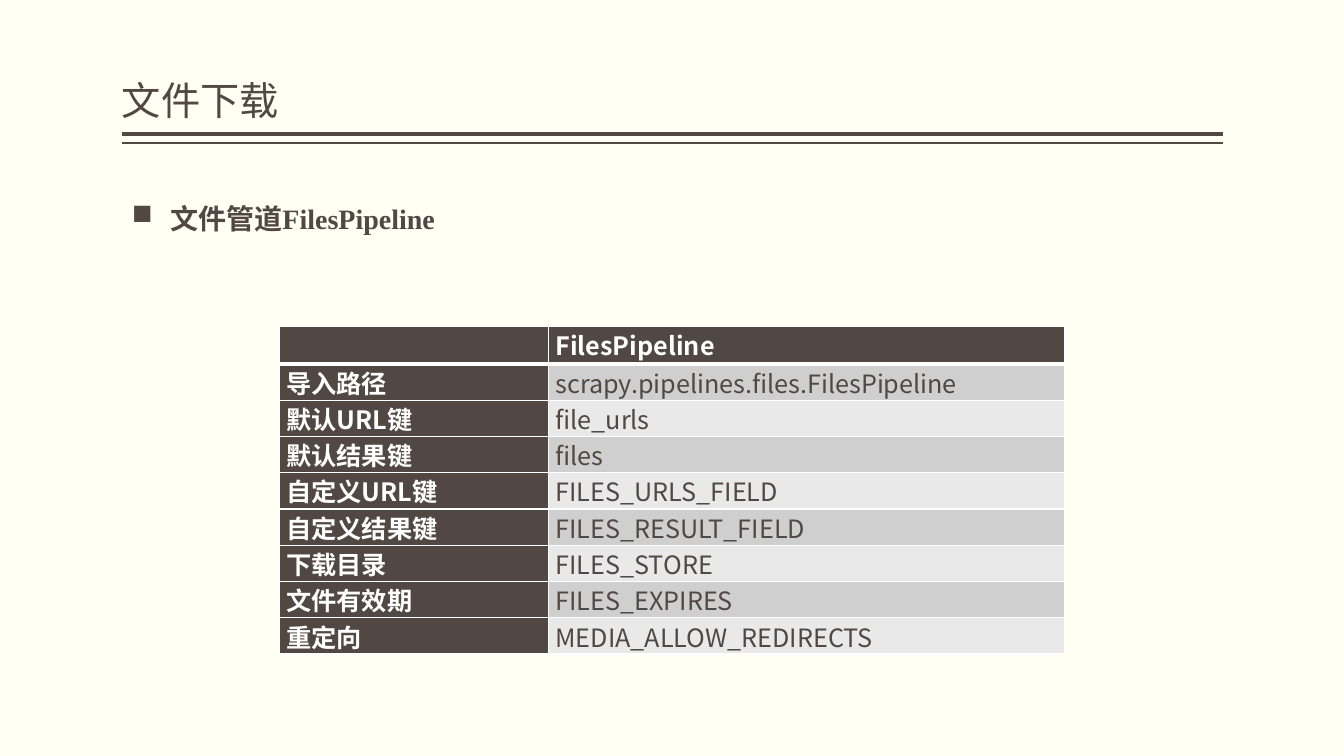
import pptx
import pptx.util
import pptx.dml.color
import pptx.enum.shapes
import pptx.enum.text
import pptx.oxml
import pptx.oxml.ns
from pptx.util import Inches

SANS, SERIF = "Noto Sans CJK SC", "Times New Roman"
BROWN, WHITE, CREAM = "514843", "FFFFFF", "FFFFF3"
BANDS = ["D0CFCF", "E9E9E9"]
NS = pptx.oxml.ns.nsdecls("a")

PIPELINE_ROWS = [
    ("", "FilesPipeline"),
    ("导入路径", "scrapy.pipelines.files.FilesPipeline"),
    ("默认URL键", "file_urls"),
    ("默认结果键", "files"),
    ("自定义URL键", "FILES_URLS_FIELD"),
    ("自定义结果键", "FILES_RESULT_FIELD"),
    ("下载目录", "FILES_STORE"),
    ("文件有效期", "FILES_EXPIRES"),
    ("重定向", "MEDIA_ALLOW_REDIRECTS"),
]


def rgb(value):
    return pptx.dml.color.RGBColor.from_string(value)


def add_run(p, text, size, color, bold=False, font=SANS):
    r = p.add_run()
    r.text = text
    r.font.size = pptx.util.Pt(size)
    r.font.bold = bold
    r.font.name = font
    r.font.color.rgb = rgb(color)
    r.font._element.find(pptx.oxml.ns.qn("a:latin")).addnext(
        pptx.oxml.parse_xml(f'<a:ea {NS} typeface="{SANS}"/>'))


def add_rule(s, x, y, width, weight):
    line = s.shapes.add_connector(pptx.enum.shapes.MSO_CONNECTOR.STRAIGHT,
                                  Inches(x + width), Inches(y), Inches(x), Inches(y))
    line.line.color.rgb = rgb(BROWN)
    line.line.width = pptx.util.Pt(weight)
    line._element.spPr.append(pptx.oxml.parse_xml(f"<a:effectLst {NS}/>"))


def add_title(s, x, y, width, height, text):
    """Title with a thick and a thin rule below it."""
    add_rule(s, x, y + height + 0.05, width, 3)
    add_rule(s, x, y + height + 0.14, width, 1)
    tf = s.shapes.add_textbox(Inches(x), Inches(y), Inches(width), Inches(height)).text_frame
    tf.word_wrap = True
    tf.vertical_anchor = pptx.enum.text.MSO_ANCHOR.BOTTOM
    tf.margin_left = tf.margin_right = 0
    p = tf.paragraphs[0]
    p.line_spacing = 0.9
    add_run(p, text, 28, BROWN)


def add_bullet(s, x, y, width, height, text):
    tf = s.shapes.add_textbox(Inches(x), Inches(y), Inches(width), Inches(height)).text_frame
    tf.word_wrap = False
    tf.auto_size = pptx.enum.text.MSO_AUTO_SIZE.SHAPE_TO_FIT_TEXT
    p = tf.paragraphs[0]
    pPr = p._p.get_or_add_pPr()
    pPr.set("marL", str(Inches(0.38)))
    pPr.set("indent", str(-Inches(0.38)))
    # "n" is the filled square in Wingdings
    pPr.append(pptx.oxml.parse_xml(
        f'<a:buFont {NS} typeface="Wingdings" pitchFamily="2" charset="2"/>'))
    pPr.append(pptx.oxml.parse_xml(f'<a:buChar {NS} char="n"/>'))
    add_run(p, text, 20, BROWN, True, SERIF)


def set_borders(cell, bottom):
    weights = {"lnL": 1, "lnR": 1, "lnT": 1, "lnB": bottom}
    for i, (side, weight) in enumerate(weights.items()):
        cell._tc.get_or_add_tcPr().insert(i, pptx.oxml.parse_xml(
            f'<a:{side} {NS} w="{pptx.util.Pt(weight)}"><a:solidFill>'
            f'<a:srgbClr val="{WHITE}"/></a:solidFill></a:{side}>'))


def add_settings_table(s, x, y, col_widths, row_heights, rows):
    """Table with a dark header row and first column, and banded values."""
    table = s.shapes.add_table(len(rows), len(col_widths), Inches(x), Inches(y),
                               Inches(sum(col_widths)),
                               Inches(sum(row_heights))).table
    for column, width in zip(table.columns, col_widths):
        column.width = Inches(width)
    for i, row in enumerate(rows):
        table.rows[i].height = Inches(row_heights[i])
        for j, text in enumerate(row):
            cell = table.cell(i, j)
            heading = i == 0 or j == 0
            cell.margin_left = cell.margin_right = Inches(0.07)
            cell.margin_top = cell.margin_bottom = 0
            cell.fill.solid()
            cell.fill.fore_color.rgb = rgb(BROWN if heading else BANDS[(i - 1) % 2])
            set_borders(cell, 3 if i == 0 else 1)
            if text:
                add_run(cell.text_frame.paragraphs[0], text, 18,
                        WHITE if heading else BROWN, heading)


def main():
    prs = pptx.Presentation()
    prs.slide_width, prs.slide_height = Inches(13.33), Inches(7.5)
    s = prs.slides.add_slide(prs.slide_layouts[6])
    s.background.fill.solid()
    s.background.fill.fore_color.rgb = rgb(CREAM)
    add_title(s, 1.21, 0.08, 10.92, 1.2, "文件下载")
    add_settings_table(s, 2.77, 3.24, [2.67, 5.12], [0.37] + [0.36] * 8, PIPELINE_ROWS)
    add_bullet(s, 1.21, 1.95, 3.23, 0.44, "文件管道FilesPipeline")
    prs.save("out.pptx")


if __name__ == "__main__":
    main()
